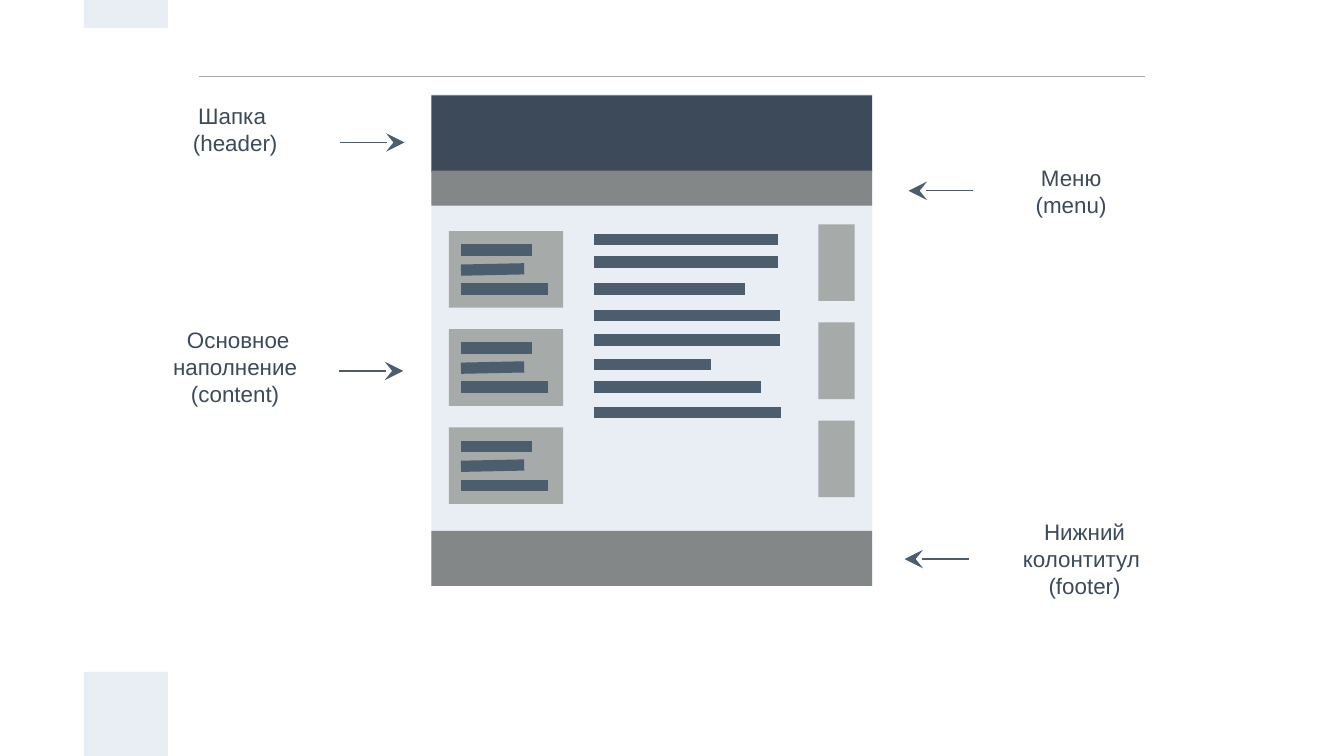
from dataclasses import dataclass

from lxml import etree
from pptx import Presentation
from pptx.dml.color import RGBColor
from pptx.enum.shapes import MSO_CONNECTOR, MSO_SHAPE
from pptx.enum.text import MSO_ANCHOR, PP_ALIGN
from pptx.oxml.ns import qn
from pptx.util import Inches, Pt

RECTANGLE = MSO_SHAPE.RECTANGLE
STRAIGHT = MSO_CONNECTOR.STRAIGHT
MIDDLE = MSO_ANCHOR.MIDDLE
CENTER = PP_ALIGN.CENTER


@dataclass(frozen=True)
class Theme:
    pale: RGBColor = RGBColor.from_string("E9EDF4")
    navy: RGBColor = RGBColor.from_string("3C4A5A")
    slate: RGBColor = RGBColor.from_string("4C5D6E")
    gray: RGBColor = RGBColor.from_string("838787")
    light_gray: RGBColor = RGBColor.from_string("A6AAA9")
    font: str = "Arial"
    label_size: Pt = Pt(12)
    thin: Pt = Pt(0.75)
    bar: Pt = Pt(6)


theme = Theme()


def add_block(shapes, left, top, width, height, color):
    block = shapes.add_shape(
        RECTANGLE, Inches(left), Inches(top), Inches(width), Inches(height))
    block.shadow.inherit = False
    block.fill.solid()
    block.fill.fore_color.rgb = color
    block.line.fill.background()


def add_line(shapes, start, end, color, weight, arrow_end=None):
    """Draw a line; arrow_end is "headEnd" (start), "tailEnd" (end) or None."""
    line = shapes.add_connector(
        STRAIGHT, *(Inches(value) for value in (*start, *end)))
    line.line.color.rgb = color
    line.line.width = weight
    properties = line._element.spPr
    etree.SubElement(properties, qn("a:effectLst"))
    if arrow_end:
        etree.SubElement(properties.find(qn("a:ln")), qn("a:" + arrow_end),
                         type="stealth", w="lg", len="lg")


deck = Presentation()
deck.slide_width = Inches(10)
deck.slide_height = deck.slide_width * 9 // 16
page = deck.slides.add_slide(deck.slide_layouts[6])

# Page decoration
square = 10 / 16
add_line(page.shapes, (1.48, 0.57), (8.52, 0.57), theme.light_gray, theme.thin)
add_block(page.shapes, square, 5, square, square, theme.pale)
add_block(page.shapes, square, 0, square, square / 3, theme.pale)

# Web page mock-up: full-width bands
mockup = page.shapes.add_group_shape().shapes
for top, height, color in (
    (0.7, 3.66, theme.pale),
    (0.71, 0.57, theme.navy),
    (1.27, 0.26, theme.gray),
    (3.95, 0.41, theme.gray),
):
    add_block(mockup, 3.21, top, 3.28, height, color)

# Three rows of cards, each with three text bars, and side banners
for row in range(3):
    offset = row * 0.73
    add_block(mockup, 3.34, 1.72 + offset, 0.85, 0.57, theme.light_gray)
    add_block(mockup, 6.09, 1.67 + offset, 0.27, 0.57, theme.light_gray)
    for start_y, end_y, length in (
        (1.86, 1.86, 0.53), (2.01, 2, 0.47), (2.15, 2.15, 0.65),
    ):
        add_line(mockup, (3.43, start_y + offset),
                 (3.43 + length, end_y + offset), theme.slate, theme.bar)

# Main text bars
for y, right in (
    (1.95, 5.79), (1.78, 5.79), (2.15, 5.54), (2.35, 5.8),
    (2.53, 5.8), (2.71, 5.29), (2.88, 5.66), (3.07, 5.81),
):
    add_line(mockup, (4.42, y), (right, y), theme.slate, theme.bar)

# Arrows pointing at the page parts
for left, y, arrow_end in (
    (2.53, 1.06, "tailEnd"),
    (2.52, 2.76, "tailEnd"),
    (6.76, 1.42, "headEnd"),
    (6.73, 4.16, "headEnd"),
):
    add_line(page.shapes, (left, y), (left + 0.48, y),
             theme.slate, theme.thin, arrow_end)

# Labels
for left, top, width, height, text in (
    (1.19, 0.77, 1.12, 0.38, "Шапка \n(header)"),
    (1.1, 2.37, 1.3, 0.71, " Основное\nнаполнение\n(content)"),
    (7.41, 1.23, 1.12, 0.38, "Меню\n(menu)"),
    (7.36, 3.84, 1.42, 0.63, "Нижний колонтитул \n(footer)"),
):
    box = page.shapes.add_textbox(
        Inches(left), Inches(top), Inches(width), Inches(height))
    frame = box.text_frame
    frame.word_wrap = True
    frame.vertical_anchor = MIDDLE
    frame.margin_left = frame.margin_right = Inches(0.1)
    frame.margin_top = frame.margin_bottom = Inches(0.1)
    frame.text = text
    for para in frame.paragraphs:
        para.alignment = CENTER
        for span in para.runs:
            span.font.name = theme.font
            span.font.size = theme.label_size
            span.font.color.rgb = theme.navy

deck.save("out.pptx")
